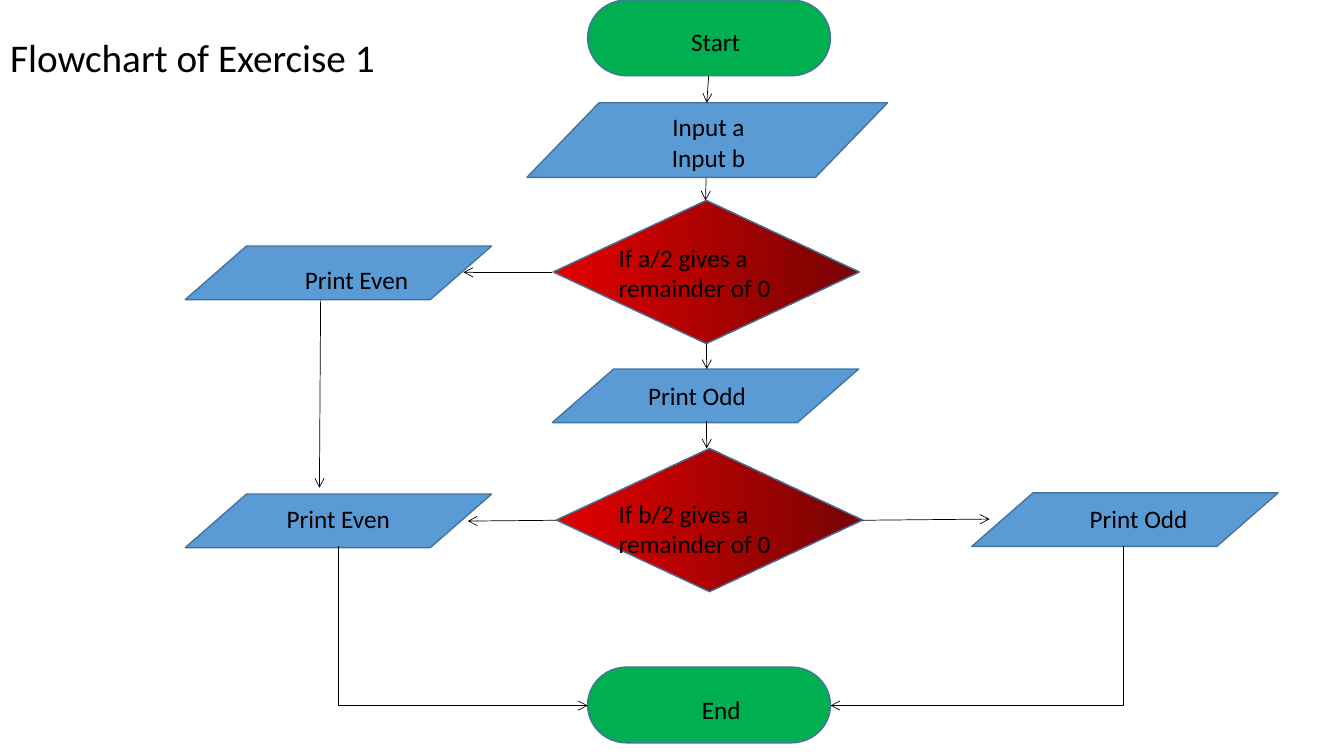
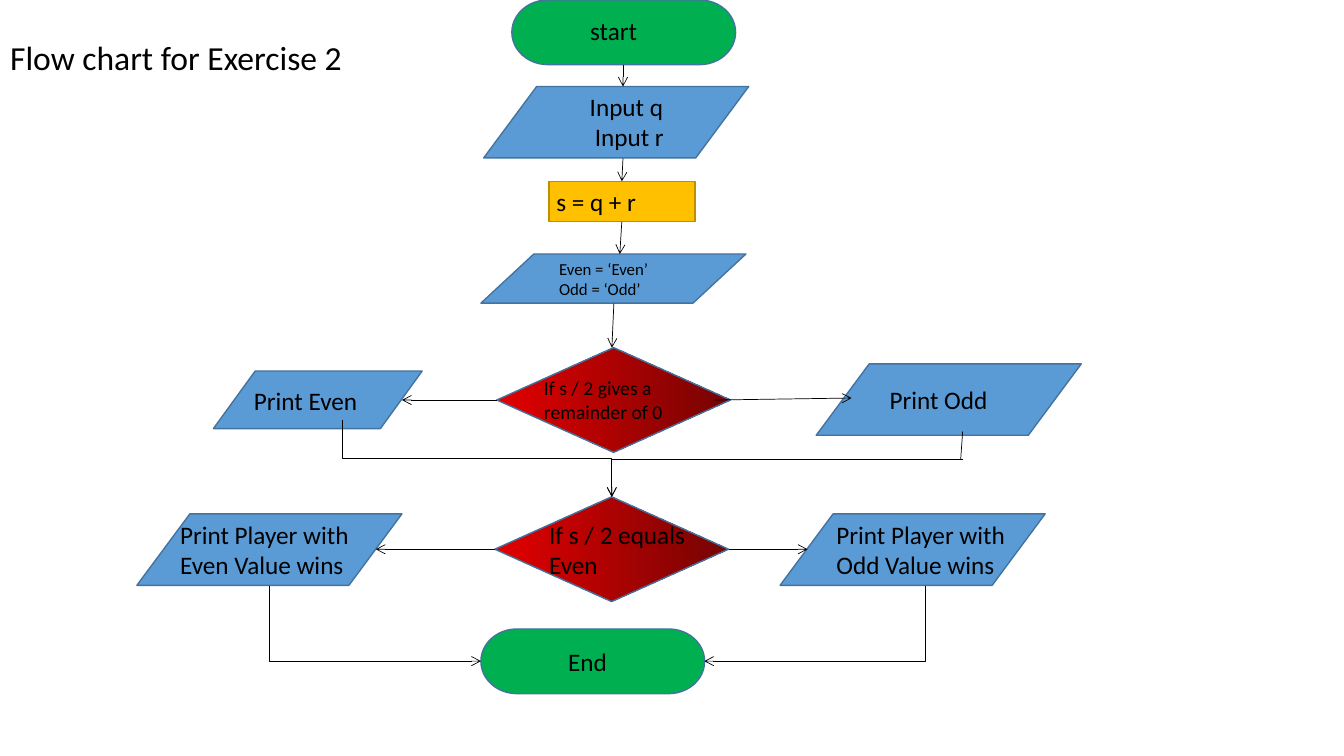
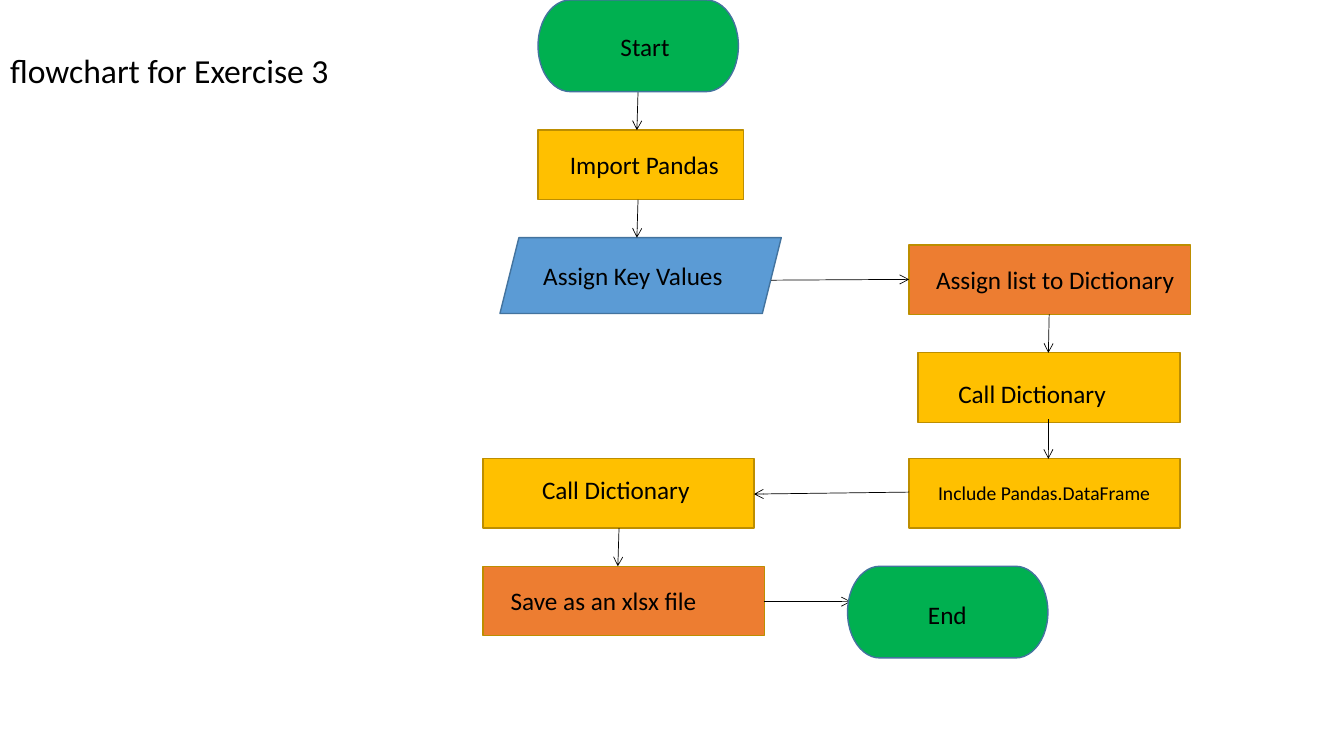
from dataclasses import dataclass

from lxml import etree
from pptx import Presentation
from pptx.dml.color import RGBColor
from pptx.enum.shapes import MSO_CONNECTOR, MSO_SHAPE
from pptx.enum.text import MSO_ANCHOR, MSO_AUTO_SIZE, PP_ALIGN
from pptx.oxml.ns import qn
from pptx.util import Cm, Pt

STRAIGHT = MSO_CONNECTOR.STRAIGHT
ELBOW = MSO_CONNECTOR.ELBOW
TERMINATOR = MSO_SHAPE.FLOWCHART_TERMINATOR
DATA = MSO_SHAPE.FLOWCHART_DATA
DECISION = MSO_SHAPE.FLOWCHART_DECISION
PROCESS = MSO_SHAPE.FLOWCHART_PROCESS
PARALLELOGRAM = MSO_SHAPE.PARALLELOGRAM
LEFT = PP_ALIGN.LEFT
CENTER = PP_ALIGN.CENTER
MIDDLE = MSO_ANCHOR.MIDDLE
GROW = MSO_AUTO_SIZE.SHAPE_TO_FIT_TEXT
FIXED = MSO_AUTO_SIZE.NONE
TITLE_ONLY = 5
QUARTER_TURN = 5400000


@dataclass(frozen=True)
class Theme:
    font: str = "Calibri"
    ink: str = "000000"
    green: str = "00B050"
    blue: str = "5B9BD5"
    amber: str = "FFC000"
    orange: str = "ED7D31"
    reds: tuple = ("E30000", "760303")
    blue_edge: str = "43739E"
    amber_edge: str = "BD8E00"
    edge_width: float = 1
    arrow_width: float = 0.5
    title_large: int = 28
    title: int = 24
    body: int = 18
    small: int = 14
    tiny: int = 12


THEME = Theme()


class Flowchart:
    def __init__(self, deck, theme):
        self.deck = deck
        self.theme = theme
        self.page = None

    def fill_text(self, frame, text, size, align):
        frame.text = text
        frame.word_wrap = True
        for para in frame.paragraphs:
            para.alignment = align
            para.font.name = self.theme.font
            para.font.size = Pt(size)
            para.font.color.rgb = RGBColor.from_string(self.theme.ink)

    def start_page(self, title, width, height, size):
        self.page = self.deck.slides.add_slide(self.deck.slide_layouts[TITLE_ONLY])
        box = self.page.shapes.title
        box.left, box.top, box.width, box.height = 0, 0, Cm(width), Cm(height)
        frame = box.text_frame
        self.fill_text(frame, title, size, LEFT)
        frame.auto_size = FIXED
        frame.vertical_anchor = MIDDLE
        frame.paragraphs[0].line_spacing = 0.9

    def step(self, kind, left, top, width, height, fill, edge):
        shape = self.page.shapes.add_shape(kind, Cm(left), Cm(top), Cm(width), Cm(height))
        shape.shadow.inherit = False
        shape.line.color.rgb = RGBColor.from_string(edge)
        shape.line.width = Pt(self.theme.edge_width)
        if isinstance(fill, tuple):
            shape.fill.gradient()
            shape.fill.gradient_angle = 0
            for position, (stop, color) in enumerate(zip(shape.fill.gradient_stops, fill)):
                stop.position = position
                stop.color.rgb = RGBColor.from_string(color)
        else:
            shape.fill.solid()
            shape.fill.fore_color.rgb = RGBColor.from_string(fill)

    def terminator(self, left, top, width, height):
        self.step(TERMINATOR, left, top, width, height, self.theme.green, self.theme.blue_edge)

    def data(self, left, top, width, height, kind=DATA):
        self.step(kind, left, top, width, height, self.theme.blue, self.theme.blue_edge)

    def decision(self, left, top, width, height):
        self.step(DECISION, left, top, width, height, self.theme.reds, self.theme.blue_edge)

    def process(self, left, top, width, height, fill=THEME.amber):
        self.step(PROCESS, left, top, width, height, fill, self.theme.amber_edge)

    def label(self, text, left, top, width, align=LEFT, rows=1, size=THEME.body):
        height = Pt(rows * size * 1.2) + Cm(0.25)
        box = self.page.shapes.add_textbox(Cm(left), Cm(top), Cm(width), height)
        self.fill_text(box.text_frame, text, size, align)
        box.text_frame.auto_size = GROW

    def arrow(self, x1, y1, x2, y2, kind=STRAIGHT, head=True):
        link = self.page.shapes.add_connector(kind, Cm(x1), Cm(y1), Cm(x2), Cm(y2))
        link.line.color.rgb = RGBColor.from_string(self.theme.ink)
        link.line.width = Pt(self.theme.arrow_width)
        properties = link.element.spPr
        if head:
            etree.SubElement(properties.find(qn("a:ln")), qn("a:tailEnd"), type="arrow")
        etree.SubElement(properties, qn("a:effectLst"))
        return properties

    def corner(self, x1, y1, x2, y2):
        properties = self.arrow(x1, y1, x2, y2, ELBOW)
        properties.find(qn("a:prstGeom")).set("prst", "bentConnector2")
        return properties

    def turned(self, draw, x1, y1, x2, y2, **options):
        middle_x, middle_y = (x1 + x2) / 2, (y1 + y2) / 2
        half_x, half_y = (x2 - x1) / 2, (y2 - y1) / 2
        properties = draw(middle_x - half_y, middle_y + half_x,
                          middle_x + half_y, middle_y - half_x, **options)
        properties.find(qn("a:xfrm")).set("rot", str(QUARTER_TURN))

    def down_then_across(self, x1, y1, x2, y2):
        self.turned(self.corner, x1, y1, x2, y2)

    def down_across_down(self, x1, y1, x2, y2):
        self.turned(self.arrow, x1, y1, x2, y2, kind=ELBOW)


def even_or_odd(chart):
    chart.start_page("Flowchart of Exercise 1", 9.83, 3, THEME.title_large)
    chart.arrow(17.81, 3.89, 17.78, 5.05)
    for top in (0, 16.81):
        chart.terminator(14.81, top, 6.12, 1.91)
    chart.data(13.28, 2.59, 9.09, 1.88)
    for left, top in ((13.94, 5.05), (14.02, 11.3)):
        chart.decision(left, top, 7.72, 3.61)
    for left, top in ((13.92, 9.3), (4.67, 6.2), (4.67, 12.45), (24.49, 12.42)):
        chart.data(left, top, 7.72, 1.35)
    for ends in (
        (17.86, 1.91, 17.81, 2.59),
        (17.81, 8.66, 17.81, 9.3),
        (13.92, 6.86, 11.68, 6.86),
        (17.81, 10.62, 17.81, 11.3),
        (14.02, 13.11, 11.79, 13.13),
        (21.72, 13.11, 24.94, 13.08),
        (8.08, 7.57, 8.05, 12.29),
    ):
        chart.arrow(*ends)
    chart.down_then_across(8.53, 13.77, 14.81, 17.78)
    chart.down_then_across(28.32, 13.77, 20.93, 17.78)
    chart.label("Start", 15.85, 0.53, 4.37, CENTER)
    chart.label("Input a\nInput b", 13.69, 2.69, 8.33, CENTER, rows=2)
    for name, top in (("a", 5.97), ("b", 12.42)):
        chart.label(f"If {name}/2 gives a remainder of 0", 15.34, top, 5.94, rows=2)
    for text, left, top in (
        ("Print Even", 6.76, 6.53),
        ("Print Even", 6.3, 12.57),
        ("Print Odd", 15.34, 9.45),
        ("Print Odd", 26.47, 12.57),
    ):
        chart.label(text, left, top, 4.45, CENTER)
    chart.label("End", 15.85, 17.37, 4.65, CENTER)


def winning_player(chart):
    chart.start_page("Flow chart for Exercise 2", 9.12, 3.02, THEME.title)
    for left, top in ((12.9, 0), (12.12, 15.85)):
        chart.terminator(left, top, 5.64, 1.63)
    for left, top in ((12.19, 2.18), (20.57, 9.17), (3.45, 12.95), (19.66, 12.95)):
        chart.data(left, top, 6.68, 1.8)
    chart.process(13.84, 4.57, 3.68, 1.02)
    chart.data(12.12, 6.4, 6.68, 1.24)
    chart.data(5.38, 9.35, 5.26, 1.45)
    for left, top in ((12.52, 8.76), (12.47, 12.52)):
        chart.decision(left, top, 5.89, 2.64)
    for ends in (
        (15.7, 1.63, 15.7, 2.18),
        (15.7, 3.99, 15.67, 4.57),
        (15.67, 5.59, 15.62, 6.4),
        (15.47, 7.65, 15.42, 8.76),
        (12.52, 10.08, 10.13, 10.08),
        (18.01, 10.08, 21.46, 10.03),
        (12.47, 13.84, 9.47, 13.84),
        (18.36, 13.84, 20.35, 13.84),
    ):
        chart.arrow(*ends)
    chart.down_across_down(8.64, 10.59, 15.42, 12.52)
    chart.corner(24.28, 11.58, 15.42, 12.52)
    chart.arrow(24.21, 11.58, 24.26, 10.87, head=False)
    chart.down_then_across(6.78, 14.76, 12.12, 16.66)
    chart.down_then_across(23.32, 14.76, 17.75, 16.66)
    chart.label("start", 14.07, 0.25, 2.79, CENTER)
    chart.label("Input q \nInput r", 13.41, 2.18, 4.9, CENTER, rows=2)
    chart.label("s = q + r", 13.77, 4.57, 4.52)
    chart.label("Even = ‘Even’\nOdd = ‘Odd’", 13.84, 6.4, 4.9, rows=2, size=THEME.tiny)
    chart.label("If s / 2 gives a remainder of 0", 13.46, 9.35, 4.93, rows=2, size=THEME.small)
    chart.label("Print Even", 6.15, 9.58, 4.98)
    chart.label("Print Odd", 22.17, 9.55, 4.98)
    for parity, left in (("Even", 4.29), ("Odd", 20.83)):
        chart.label(f"Print Player with {parity} Value wins", left, 12.95, 4.98, rows=2)
    chart.label("If s / 2 equals Even", 13.59, 12.95, 4.93, rows=2)
    chart.label("End", 13.41, 16.15, 2.79, CENTER)


def data_frame(chart):
    chart.start_page("flowchart for Exercise 3", 10.8, 3.68, THEME.title)
    for left, top, width, fill in (
        (13.56, 3.28, 5.18, THEME.amber),
        (22.91, 6.17, 7.09, THEME.orange),
        (23.14, 8.89, 6.6, THEME.amber),
        (22.91, 11.56, 6.83, THEME.amber),
        (12.17, 11.56, 6.83, THEME.amber),
        (12.17, 14.27, 7.09, THEME.orange),
    ):
        chart.process(left, top, width, 1.75, fill)
    chart.data(12.6, 5.99, 7.09, 1.91, PARALLELOGRAM)
    for ends in (
        (16.08, 2.31, 16.05, 3.28),
        (16.08, 5.03, 16.05, 5.99),
        (19.43, 7.06, 22.91, 7.04),
        (26.44, 7.92, 26.42, 8.89),
        (26.42, 10.57, 26.42, 11.56),
        (22.91, 12.4, 19, 12.45),
        (15.6, 13.31, 15.57, 14.27),
        (19.25, 15.16, 21.44, 15.16),
    ):
        chart.arrow(*ends)
    for left, top in ((13.56, 0), (21.36, 14.27)):
        chart.terminator(left, top, 5.05, 2.31)
    chart.label("Start", 14.63, 0.66, 3.25, CENTER)
    chart.label("Import Pandas", 12.62, 3.63, 7.24, CENTER)
    chart.label("Assign Key Values", 13.44, 6.43, 5.97)
    chart.label("Assign list to Dictionary", 23.34, 6.53, 7.04)
    for left, top in ((23.9, 9.4), (13.41, 11.84)):
        chart.label("Call Dictionary", left, top, 4.62)
    chart.label("Include Pandas.DataFrame", 23.39, 11.99, 6.07, size=THEME.small)
    chart.label("Save as an xlsx file", 12.62, 14.63, 5.69)
    chart.label("End", 22.25, 14.99, 3.25, CENTER)


deck = Presentation()
deck.slide_width = Cm(33.87)
deck.slide_height = Cm(19.05)
flowchart = Flowchart(deck, THEME)
for build in (even_or_odd, winning_player, data_frame):
    build(flowchart)
deck.save("out.pptx")
